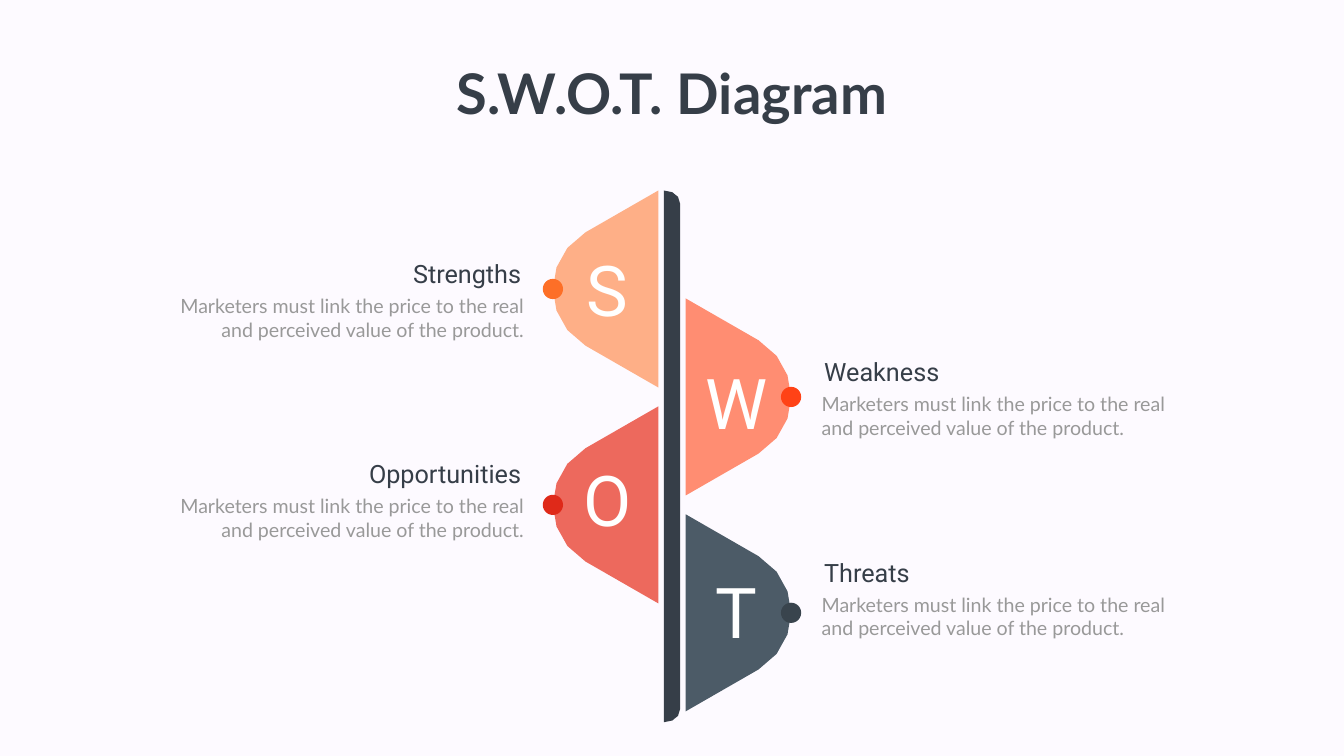
import pptx
import pptx.dml.color
import pptx.enum.shapes
import pptx.enum.text
import pptx.util

Cm = pptx.util.Cm
Align = pptx.enum.text.PP_ALIGN

TITLE = "S.W.O.T. Diagram"
NOTE = "Marketers must link the price to the real and perceived value of the product."
DARK, GREY, WHITE, PAPER = "363E48", "999999", "FFFFFF", "FDFAFF"

# heading, petal colour, dot colour, top of letter, top of heading (cm)
ITEMS = [
    ("Strengths", "FEAF87", "FD6F27", 12.29, 12.9),
    ("Weakness", "FF8D72", "FF4216", 17.98, 17.84),
    ("Opportunities", "ED695D", "DF2919", 22.86, 22.99),
    ("Threats", "4C5B67", "39444D", 28.55, 27.95),
]

# All lengths below are in cm.
WIDTH, HEIGHT = 67.72, 38.1
TOP, STEP = 9.6, 5.44
BASES = {-1: 33.17, 1: 34.55}  # flat edge of the left and right petals
EDGES = {-1: 26.64, 1: 41.15}  # inner edge of the left and right notes
PETAL = 9.93
TIP = 5.31  # distance from flat edge to tip
DOT = 1.02
SPINE = (33.45, 34.27, TOP, 36.4)  # left, right, top, bottom


def color(code):
    return pptx.dml.color.RGBColor.from_string(code)


def curve(a, b, c, d, count):
    """Return points along a cubic Bezier curve."""
    points = []
    for i in range(count + 1):
        t = i / count
        u = 1 - t
        weights = (u**3, 3 * u * u * t, 3 * u * t * t, t**3)
        points.append(tuple(sum(w * p[k] for w, p in zip(weights, (a, b, c, d)))
                            for k in (0, 1)))
    return points


def paint(shape, code):
    shape.shadow.inherit = False
    shape.fill.solid()
    shape.fill.fore_color.rgb = color(code)
    shape.line.fill.background()


def outline(shapes, points, code):
    spots = [(Cm(x), Cm(y)) for x, y in points]
    form = shapes.build_freeform(*spots[0], scale=1.0)
    form.add_line_segments(spots[1:], close=True)
    paint(form.convert_to_shape(), code)


def style(shape, text, size, face, code, align, bold=False):
    frame = shape.text_frame
    frame.text = text
    frame.word_wrap = True
    frame.auto_size = pptx.enum.text.MSO_AUTO_SIZE.NONE
    frame.vertical_anchor = pptx.enum.text.MSO_ANCHOR.TOP
    line = frame.paragraphs[0]
    line.alignment = align
    line.line_spacing = 1.0
    line.font.size = pptx.util.Pt(size)
    line.font.name = face
    line.font.bold = bold
    line.font.color.rgb = color(code)


def label(shapes, box, *look):
    style(shapes.add_textbox(*map(Cm, box)), *look)


def span(side, edge, gap, width):
    """Return the left of a box that lies gap outward from an edge."""
    return edge + gap if side > 0 else edge - gap - width


def add_spine(shapes):
    left, right, top, end = SPINE
    upper = curve((left, top), (left + 0.48, top), (right, top + 0.28),
                  (right, top + 0.67), 3)
    lower = [(x, top + end - y) for x, y in reversed(upper)]
    outline(shapes, upper + lower, DARK)


def add_petal(shapes, side, top, fill):
    arc = curve((3.67, 2.11), (5.86, 3.41), (5.86, 6.52), (3.67, 7.82), 6)
    points = [(0, 0)] + arc + [(0, PETAL)]
    outline(shapes, [(BASES[side] + side * x, top + y) for x, y in points], fill)


def add_text(shapes, side, name, head):
    align = Align.LEFT if side > 0 else Align.RIGHT
    edge = EDGES[side]
    label(shapes, (span(side, edge, 0, 18.03), head + 1.79, 18.03, 2.64),
          NOTE, 28, "Lato", GREY, align)
    label(shapes, (span(side, edge, 0.13, 9.07), head, 9.07, 1.8),
          name, 36, "Roboto", DARK, align)


def add_dot(shapes, side, top, accent):
    left = span(side, BASES[side], TIP - DOT / 2, DOT)
    box = (left, top + (PETAL - DOT) / 2, DOT, DOT)
    paint(shapes.add_shape(pptx.enum.shapes.MSO_SHAPE.OVAL, *map(Cm, box)), accent)


def main():
    deck = pptx.Presentation()
    deck.slide_width, deck.slide_height = Cm(WIDTH), Cm(HEIGHT)
    slide = deck.slides.add_slide(deck.slide_layouts[5])
    slide.background.fill.solid()
    slide.background.fill.fore_color.rgb = color(PAPER)

    title = slide.shapes.title
    title.left, title.top = Cm((WIDTH - 23.04) / 2), Cm(2.84)
    title.width, title.height = Cm(23.04), Cm(3.68)
    style(title, TITLE, 80, "Lato", DARK, Align.CENTER, True)

    figure = slide.shapes.add_group_shape().shapes
    add_spine(figure)
    for index, (name, fill, accent, letter, head) in enumerate(ITEMS):
        side = 1 if index % 2 else -1
        top = TOP + STEP * index
        add_petal(figure, side, top, fill)
        add_text(slide.shapes.add_group_shape().shapes, side, name, head)
        label(slide.shapes, (span(side, BASES[side], 0.45, 4.24), letter, 4.24, 4.52),
              name[0], 100, "Roboto", WHITE, Align.CENTER)
        add_dot(slide.shapes, side, top, accent)
    deck.save("out.pptx")


if __name__ == "__main__":
    main()
